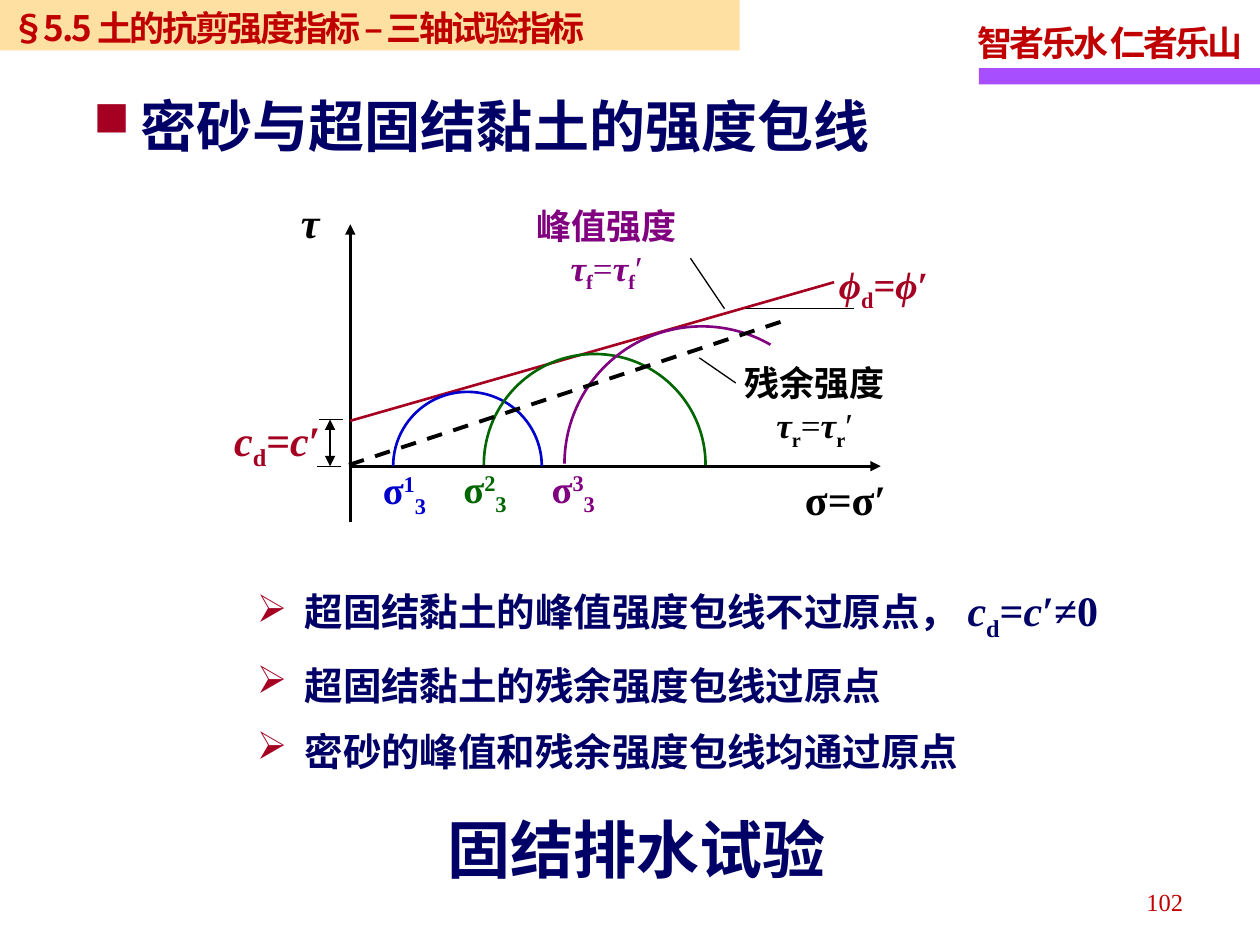
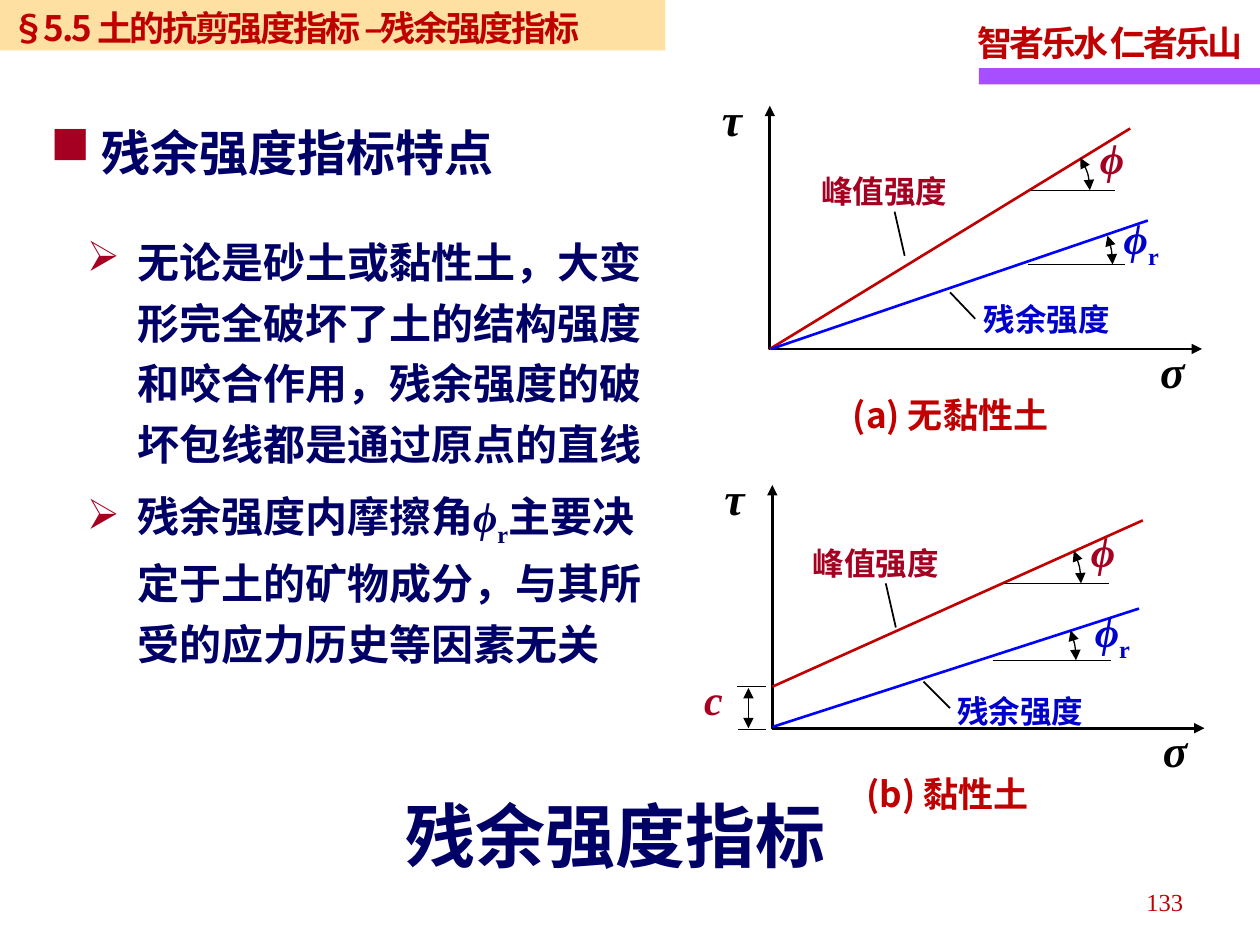
from lxml import etree
from pptx import Presentation
from pptx import util as u
from pptx.dml.color import RGBColor
from pptx.enum import dml, shapes, text
from pptx.oxml.ns import qn

COLORS = {
    "navy": "000066", "red": "C00000", "crimson": "A50021", "black": "000000",
    "blue": "0000CC", "bright blue": "0000FF", "green": "006600",
    "purple": "800080", "violet": "A74FFF", "sand": "FFCC66",
}
SERIF, SANS = "Times New Roman", "Noto Sans CJK SC"


def write(shape, paragraphs, size, color, font=SERIF, bold=True, spacing=None, gap=0,
          align=None, wrap=True, grow=True, middle=False, bullet=None, indent=0,
          bullet_size=100, tracking=0):
    """Fill a shape with paragraphs of (text, marks, size) runs.

    Marks: i italic, _ subscript, ^ superscript, n not bold.
    """
    frame = shape.text_frame
    frame.word_wrap = wrap
    if grow:
        frame.auto_size = text.MSO_AUTO_SIZE.SHAPE_TO_FIT_TEXT
    frame.vertical_anchor = text.MSO_ANCHOR.MIDDLE if middle else text.MSO_ANCHOR.TOP
    if middle:
        frame.margin_left = frame.margin_right = frame.margin_top = frame.margin_bottom = 0
    for index, runs in enumerate(paragraphs):
        paragraph = frame.add_paragraph() if index else frame.paragraphs[0]
        paragraph.alignment = align or text.PP_ALIGN.LEFT
        if spacing:
            paragraph.line_spacing = spacing
        paragraph.space_before = u.Pt(gap if index else 0)
        paragraph.space_after = u.Pt(gap)
        if bullet:
            properties = paragraph._p.get_or_add_pPr()
            properties.set("marL", str(u.Inches(indent)))
            properties.set("indent", str(-u.Inches(indent)))
            bullet_color = etree.SubElement(properties, qn("a:buClr"))
            etree.SubElement(bullet_color, qn("a:srgbClr")).set("val", COLORS["crimson"])
            etree.SubElement(properties, qn("a:buSzPct")).set("val", str(bullet_size * 1000))
            etree.SubElement(properties, qn("a:buChar")).set("char", bullet)
        paragraph.font.name = font
        paragraph.font.size = u.Pt(size)
        paragraph.font.bold = bold
        paragraph.font.color.rgb = RGBColor.from_string(COLORS[color])
        paragraph.font._rPr.set("spc", str(round(tracking * 100)))
        etree.SubElement(paragraph.font._rPr, qn("a:ea")).set("typeface", SANS)
        for content, marks, *run_size in [(r, "") if isinstance(r, str) else r for r in runs]:
            run = paragraph.add_run()
            run.text = content
            if "i" in marks:
                run.font.italic = True
            if "n" in marks:
                run.font.bold = False
            if "_" in marks:
                run.font._rPr.set("baseline", "-25000")
            if "^" in marks:
                run.font._rPr.set("baseline", "30000")
            if run_size:
                run.font.size = u.Pt(run_size[0])


def stroke(shape, color, width, ends=(), dashed=False):
    """Style an outline; ends holds headEnd and/or tailEnd for arrowheads."""
    if hasattr(shape, "fill"):
        shape.fill.background()
        shape.shadow.inherit = False
    else:
        etree.SubElement(shape._element.spPr, qn("a:effectLst"))
    shape.line.color.rgb = RGBColor.from_string(COLORS[color])
    shape.line.width = u.Pt(width)
    if dashed:
        shape.line.dash_style = dml.MSO_LINE.DASH
    for end in ends:
        etree.SubElement(shape.line._get_or_add_ln(), qn("a:" + end)).set("type", "triangle")


presentation = Presentation()
presentation.slide_width, presentation.slide_height = u.Inches(10), u.Inches(7.5)
BOTH, TAIL = ("headEnd", "tailEnd"), ("tailEnd",)

# Frame shared by both slides
slides = []
for heading, band_width, number in [
    ("§5.5 土的抗剪强度指标 – 三轴试验指标", 5.88, "102"),
    ("§5.5 土的抗剪强度指标 –残余强度指标", 5.29, "133"),
]:
    slide = presentation.slides.add_slide(presentation.slide_layouts[6])
    slides.append(slide)
    for box, fill in [((7.77, 0.54, 2.23, 0.13), "violet"), ((-0.01, 0, band_width, 0.4), "sand")]:
        band = slide.shapes.add_shape(shapes.MSO_SHAPE.RECTANGLE, *map(u.Inches, box))
        band.shadow.inherit = False
        band.fill.solid()
        band.fill.fore_color.rgb = RGBColor.from_string(COLORS[fill])
        band.line.fill.background()
    fill_color = band._element.spPr.find(qn("a:solidFill"))[0]
    etree.SubElement(fill_color, qn("a:alpha")).set("val", "60000")
    write(band, [[heading]], 20, "red", SANS, tracking=-1.4, grow=False)
    motto = slide.shapes.add_textbox(*map(u.Inches, (7.66, 0.07, 2.36, 0.49)))
    write(motto, [["智者乐水 仁者乐山"]], 20, "red", spacing=1.15, wrap=False, tracking=-1.7)
    page = slide.shapes.add_textbox(*map(u.Inches, (7.16, 6.96, 2.33, 0.4)))
    write(page, [[number]], 14, "red", bold=False, spacing=1.15,
          align=text.PP_ALIGN.RIGHT, grow=False)

envelope_slide, residual_slide = slides
lines, arcs, labels = [], [], []

# Slide 1: strength envelopes with Mohr circles
lines += [
    (envelope_slide, (2.78, 4.14, 2.78, 1.78), "black", 1.5, TAIL),
    (envelope_slide, (2.77, 3.7, 6.99, 3.7), "black", 1.5, TAIL),
    (envelope_slide, (2.78, 3.34, 6.62, 2.24), "crimson", 1.5, ()),
    (envelope_slide, (5.75, 2.45, 5.48, 2.05), "black", 0.75, ()),
    (envelope_slide, (5.92, 2.45, 6.78, 2.45), "black", 0.75, ()),
    (envelope_slide, (2.72, 3.33, 2.53, 3.33), "black", 0.75, ()),
    (envelope_slide, (2.71, 3.7, 2.52, 3.7), "black", 0.75, ()),
    (envelope_slide, (2.62, 3.33, 2.62, 3.7), "black", 0.75, BOTH),
    (envelope_slide, (5.55, 2.84, 5.84, 3.04), "black", 0.75, ()),
]
for order, center, radius, end, color, label_left, label_top in [
    ("1", (3.71, 3.7), 0.59, 0, "blue", 2.94, 3.65),
    ("2", (4.72, 3.69), 0.88, 0, "green", 3.58, 3.64),
    ("3", (5.57, 3.68), 1.09, 300, "purple", 4.28, 3.64),
]:
    arcs.append((envelope_slide, center, radius, 180, end, color, 1.5, ()))
    labels.append((envelope_slide, (label_left, label_top, 0.6, 0.47),
                   ["σ", (order, "^"), ("3", "_")], 22, color, {"wrap": False}))

cohesion = [("d", "_"), "=", ("c", "i"), "′"]
labels += [
    (envelope_slide, (6.29, 3.71, 0.95, 0.52), ["σ=σ′"], 24, "black", {}),
    (envelope_slide, (2.29, 1.51, 0.49, 0.52), [("τ", "i")], 24, "black", {}),
    (envelope_slide, (6.56, 2.02, 0.94, 0.47),
     [("ϕ", "i"), ("d", "_"), "=", ("ϕ", "i"), "′"], 22, "crimson", {"wrap": False}),
    (envelope_slide, (1.76, 3.24, 0.89, 0.5), [("c", "i")] + cohesion, 24, "crimson",
     {"wrap": False}),
    (envelope_slide, (3.55, 6.43, 3.72, 0.6), ["固结排水试验"], 36, "navy",
     {"font": SANS, "middle": True}),
    (envelope_slide, (0.74, 0.72, 6.51, 0.54), [(" ", "", 28), "密砂与超固结黏土的强度包线"],
     32, "navy", {"font": SANS, "middle": True, "bullet": "■"}),
]
for name, index, color, left, top in [
    ("峰值强度", "f", "purple", 4.04, 1.57), ("残余强度", "r", "black", 5.69, 2.82),
]:
    stress = [("τ", "i"), (index, "_")]
    labels.append((envelope_slide, (left, top, 1.55, 0.77),
                   [name, *stress, ("=", "n"), *stress, ("′", "n")], 20, color,
                   {"align": text.PP_ALIGN.CENTER}))

# Slide 2: one diagram per soil, each with a peak and a residual line
for origin_x, origin_y, caption, caption_left, strengths in [
    (6.11, 2.77, "(a) 无黏性土", 6.67, [
        ("峰值强度", (6.42, 1.24), (6.11, 2.77, 8.97, 1.02), (8.18, 1.51), 8.85, 0.47, 33,
         (8.63, 1), (7.18, 2.03, 7.1, 1.68)),
        ("残余强度", (7.71, 2.26), (6.12, 2.77, 9.11, 1.75), (8.16, 2.1), 8.93, 0.67, 20,
         (8.82, 1.64), (7.54, 2.32, 7.74, 2.53)),
    ]),
    (6.13, 5.78, "(b) 黏性土", 6.78, [
        ("峰值强度", (6.35, 4.19), (6.13, 5.45, 9.07, 4.13), (7.97, 4.63), 8.8, 0.61, 25,
         (8.56, 4.12), (7.11, 4.98, 7.03, 4.63)),
        ("残余强度", (7.5, 5.37), (6.13, 5.77, 9.04, 4.83), (7.88, 5.24), 8.82, 0.66, 21,
         (8.59, 4.76), (7.33, 5.41, 7.54, 5.62)),
    ]),
]:
    builder = residual_slide.shapes.build_freeform(
        u.Inches(origin_x), u.Inches(origin_y - 1.93))
    builder.add_line_segments(
        [(u.Inches(origin_x), u.Inches(origin_y)),
         (u.Inches(origin_x + 3.43), u.Inches(origin_y))], close=False)
    stroke(builder.convert_to_shape(), "black", 1.5, BOTH)
    labels += [
        (residual_slide, (origin_x - 0.48, origin_y - 2.1, 0.58, 0.54), [("τ", "i")], 26,
         "black", {}),
        (residual_slide, (origin_x + 3, origin_y - 0.1, 0.42, 0.54), [("σ", "i")], 26,
         "black", {"wrap": False}),
        (residual_slide, (caption_left, origin_y + 0.22, 2.1, 0.52), [caption], 20, "red",
         {"font": SANS, "spacing": 1.25}),
    ]
    for name, name_at, envelope, vertex, base_end, radius, angle, symbol_at, leader in strengths:
        peak = name == "峰值强度"
        color = "crimson" if peak else "blue"
        symbol = [("ϕ", "i")] if peak else [("ϕ", "i"), ("r", "_")]
        lines += [
            (residual_slide, envelope, "red" if peak else "bright blue", 1.5, ()),
            (residual_slide, (*vertex, base_end, vertex[1]), "black", 0.75, ()),
            (residual_slide, leader, "black", 1, ()),
        ]
        arcs.append((residual_slide, vertex, radius, 360 - angle, 0, "black", 0.75, BOTH))
        labels += [
            (residual_slide, (*name_at, 1.38, 0.44), [name], 18, color, {"spacing": 1.25}),
            (residual_slide, (*symbol_at, 0.41 if peak else 0.51, 0.5), symbol, 24, color,
             {"wrap": False}),
        ]

lines += [
    (residual_slide, (5.85, 5.45, 6.08, 5.45), "black", 0.75, ()),
    (residual_slide, (5.86, 5.79, 6.08, 5.79), "black", 0.75, ()),
    (residual_slide, (5.94, 5.46, 5.94, 5.78), "black", 1, BOTH),
]
labels += [
    (residual_slide, (5.49, 5.3, 0.35, 0.5), [("c", "i")], 24, "crimson", {"wrap": False}),
    (residual_slide, (0.3, 0.83, 3.96, 0.67), [" 残余强度指标特点"], 28, "navy",
     {"font": SANS, "spacing": 1.2, "bullet": "■", "bullet_size": 110}),
    (residual_slide, (3.12, 6.24, 4.94, 0.77), ["残余强度指标"], 40, "navy", {}),
]

# Draw the collected lines, arcs and labels
for slide, ends_at, color, width, ends in lines:
    connector = slide.shapes.add_connector(
        shapes.MSO_CONNECTOR.STRAIGHT, *map(u.Inches, ends_at))
    stroke(connector, color, width, ends)
for slide, (x, y), radius, start, end, color, width, ends in arcs:
    arc = slide.shapes.add_shape(
        shapes.MSO_SHAPE.ARC,
        *map(u.Inches, (x - radius, y - radius, 2 * radius, 2 * radius)))
    # Arc adjustments count 60000ths of a degree, scaled by 100000
    arc.adjustments[0], arc.adjustments[1] = start * 0.6, end * 0.6
    stroke(arc, color, width, ends)
residual_line = envelope_slide.shapes.add_connector(
    shapes.MSO_CONNECTOR.STRAIGHT, *map(u.Inches, (2.77, 3.69, 6.24, 2.54)))
stroke(residual_line, "black", 2.25, dashed=True)
for slide, box, runs, size, color, options in labels:
    label = slide.shapes.add_textbox(*map(u.Inches, box))
    write(label, [runs], size, color, **options)

# Conclusions
for slide, box, size, indent, conclusions in [
    (envelope_slide, (1.94, 4.5, 7.5, 1.64), 22, 0.38, [
        ["超固结黏土的峰值强度包线不过原点，", (" c", "i", 24), ("d", "_", 24), ("=", "", 24),
         ("c", "i", 24), ("′≠0", "", 24)],
        ["超固结黏土的残余强度包线过原点"],
        ["密砂的峰值和残余强度包线均通过原点"],
    ]),
    (residual_slide, (0.59, 1.75, 4.75, 3.58), 24, 0.4, [
        ["无论是砂土或黏性土，大变形完全破坏了土的结构强度和咬合作用，残余强度的破坏包线都是通过原点的直线"],
        ["残余强度内摩擦角", ("ϕ", "i"), ("r", "_"),
         "主要决定于土的矿物成分，与其所受的应力历史等因素无关"],
    ]),
]:
    conclusion_box = slide.shapes.add_textbox(*map(u.Inches, box))
    write(conclusion_box, conclusions, size, "navy", spacing=1.2, gap=3, bullet="➢",
          indent=indent)

presentation.save("out.pptx")
